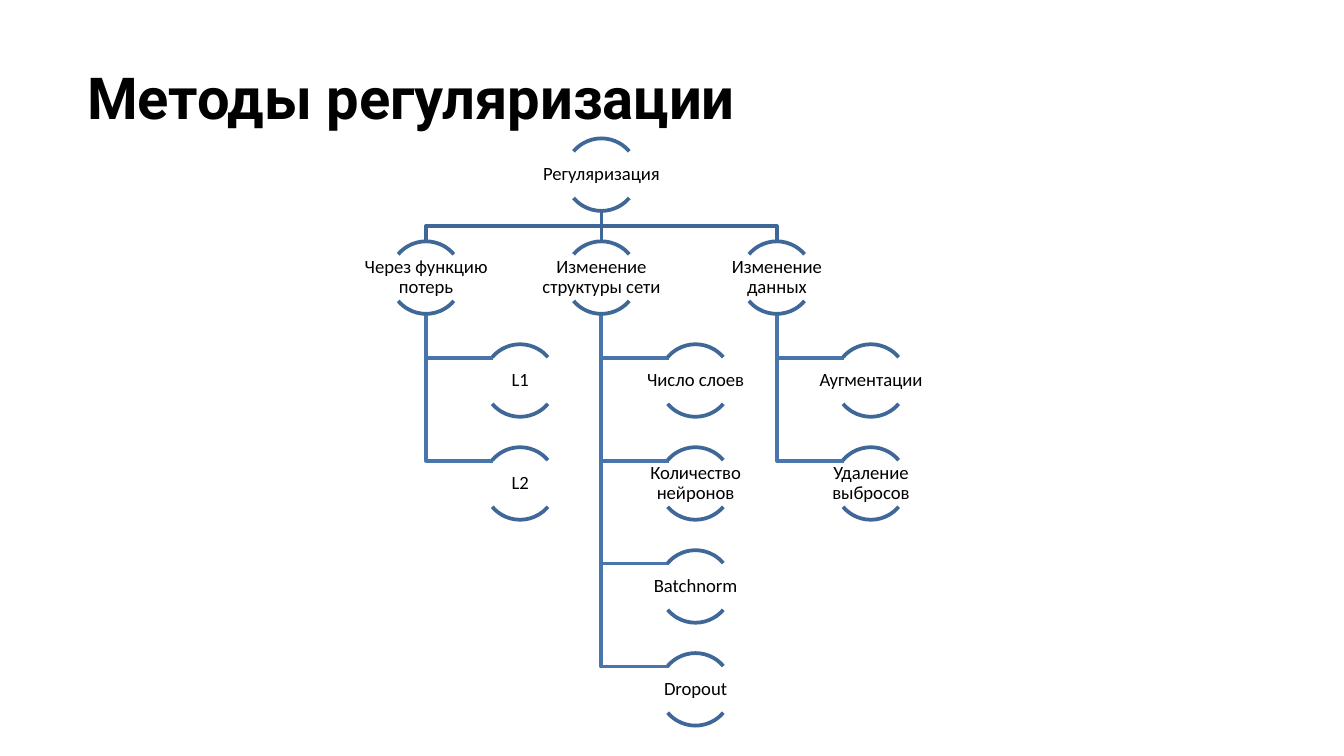
from dataclasses import dataclass

from lxml import etree
from pptx import Presentation
from pptx.dml.color import RGBColor
from pptx.enum.shapes import MSO_CONNECTOR, MSO_SHAPE
from pptx.enum.text import MSO_ANCHOR, PP_ALIGN
from pptx.oxml.ns import qn
from pptx.shapes.shapetree import GroupShapes
from pptx.util import Inches, Pt

ARC = MSO_SHAPE.ARC
STRAIGHT = MSO_CONNECTOR.STRAIGHT
TOP, MIDDLE = MSO_ANCHOR.TOP, MSO_ANCHOR.MIDDLE
LEFT, CENTER = PP_ALIGN.LEFT, PP_ALIGN.CENTER


@dataclass(frozen=True)
class Theme:
    text: RGBColor = RGBColor(0x00, 0x00, 0x00)
    node_line: RGBColor = RGBColor(0x3F, 0x67, 0x97)
    leaf_line: RGBColor = RGBColor(0x48, 0x75, 0xAC)
    line_width: float = 2
    title_font: str = "Roboto"
    title_size: float = 31
    label_font: str = "Calibri"
    label_size: float = 10


@dataclass(frozen=True)
class Branch:
    label: str
    leaves: tuple[str, ...]


THEME = Theme()
ROOT = "Регуляризация"
BRANCHES = (
    Branch("Через функцию потерь", ("L1", "L2")),
    Branch("Изменение структуры сети",
           ("Число слоев", "Количество нейронов", "Batchnorm", "Dropout")),
    Branch("Изменение данных", ("Аугментации", "Удаление выбросов")),
)

# Page and tree grid, in inches
PAGE_WIDTH = 10
PAGE_HEIGHT = PAGE_WIDTH * 9 / 16
FIRST_X, COLUMN_STEP = 3.17, 2.61 / 2
FIRST_Y, ROW_STEP = 1.03, 3.83 / 5
ROOT_X = FIRST_X + COLUMN_STEP
CIRCLE = 0.54
LABEL_WIDTH, LABEL_HEIGHT, LABEL_DROP = 1.08, 0.34, 0.1
LEAF_SHIFT, LEAF_JOIN = 0.7, 0.5
ARC_ANGLES = ((132, 192), (24, 84))


def row_y(row: int) -> float:
    return FIRST_Y + row * ROW_STEP


def style_line(shape, color: RGBColor) -> None:
    shape.line.color.rgb = color
    shape.line.width = Pt(THEME.line_width)


def add_text(shapes, frame: tuple[float, ...], text: str, font: str,
             size: float, bold: bool, inset: float, anchor, align,
             spacing: float) -> None:
    box = shapes.add_textbox(*map(Inches, frame))
    body = box.text_frame
    body.word_wrap = True
    body.vertical_anchor = anchor
    body.margin_left = body.margin_right = Inches(inset)
    body.margin_top = body.margin_bottom = Inches(inset)
    para = body.paragraphs[0]
    para.alignment = align
    para.line_spacing = spacing
    span = para.add_run()
    span.text = text
    span.font.name = font
    span.font.size = Pt(size)
    span.font.bold = bold
    span.font.color.rgb = THEME.text


def add_elbow(shapes: GroupShapes, points: list[tuple[float, float]],
              color: RGBColor) -> None:
    corners = [(Inches(x), Inches(y)) for x, y in points]
    builder = shapes.build_freeform(*corners[0])
    builder.add_line_segments(corners[1:], close=False)
    elbow = builder.convert_to_shape()
    elbow.shadow.inherit = False
    elbow.fill.background()
    style_line(elbow, color)


def add_stem(shapes: GroupShapes, x: float, top: float, bottom: float) -> None:
    stem = shapes.add_connector(STRAIGHT, Inches(x), Inches(top),
                                Inches(x), Inches(bottom))
    style_line(stem, THEME.node_line)
    etree.SubElement(stem._element.spPr, qn("a:effectLst"))


def add_node(shapes: GroupShapes, x: float, row: int, label: str) -> None:
    top = row_y(row)
    for angles in ARC_ANGLES:
        arc = shapes.add_shape(ARC, Inches(x - CIRCLE / 2), Inches(top),
                               Inches(CIRCLE), Inches(CIRCLE))
        arc.adjustments[0], arc.adjustments[1] = angles
        arc.shadow.inherit = False
        arc.fill.background()
        style_line(arc, THEME.node_line)
    frame = (x - LABEL_WIDTH / 2, top + LABEL_DROP, LABEL_WIDTH, LABEL_HEIGHT)
    add_text(shapes, frame, label, THEME.label_font, THEME.label_size, False,
             0.01, MIDDLE, CENTER, 0.9)


def add_branch_lines(shapes: GroupShapes, x: float, branch: Branch) -> None:
    # Leaf lines hang below the branch node
    start = row_y(1) + CIRCLE
    for row in range(2, 2 + len(branch.leaves)):
        end = row_y(row) + LABEL_DROP
        add_elbow(shapes, [(x, start), (x, end), (x + LEAF_JOIN, end)],
                  THEME.leaf_line)
    # Line from the root to the branch node
    top, bottom = row_y(0) + CIRCLE, row_y(1)
    if x == ROOT_X:
        add_stem(shapes, x, top, bottom)
    else:
        bend = (top + bottom) / 2
        add_elbow(shapes, [(ROOT_X, top), (ROOT_X, bend), (x, bend),
                           (x, bottom)], THEME.node_line)


def main() -> None:
    deck = Presentation()
    deck.slide_width = Inches(PAGE_WIDTH)
    deck.slide_height = Inches(PAGE_HEIGHT)
    page = deck.slides.add_slide(deck.slide_layouts[6])

    # Title
    add_text(page.shapes, (0.55, 0.36, 9.32, 1.2), "Методы регуляризации",
             THEME.title_font, THEME.title_size, True, 0.1, TOP, LEFT, 1.0)

    # Tree: lines behind, nodes in front
    tree = page.shapes.add_group_shape().shapes
    columns = [(FIRST_X + index * COLUMN_STEP, branch)
               for index, branch in enumerate(BRANCHES)]
    for x, branch in columns:
        add_branch_lines(tree, x, branch)
    add_node(tree, ROOT_X, 0, ROOT)
    for x, branch in columns:
        add_node(tree, x, 1, branch.label)
        for row, leaf in enumerate(branch.leaves, start=2):
            add_node(tree, x + LEAF_SHIFT, row, leaf)

    deck.save("out.pptx")


if __name__ == "__main__":
    main()
